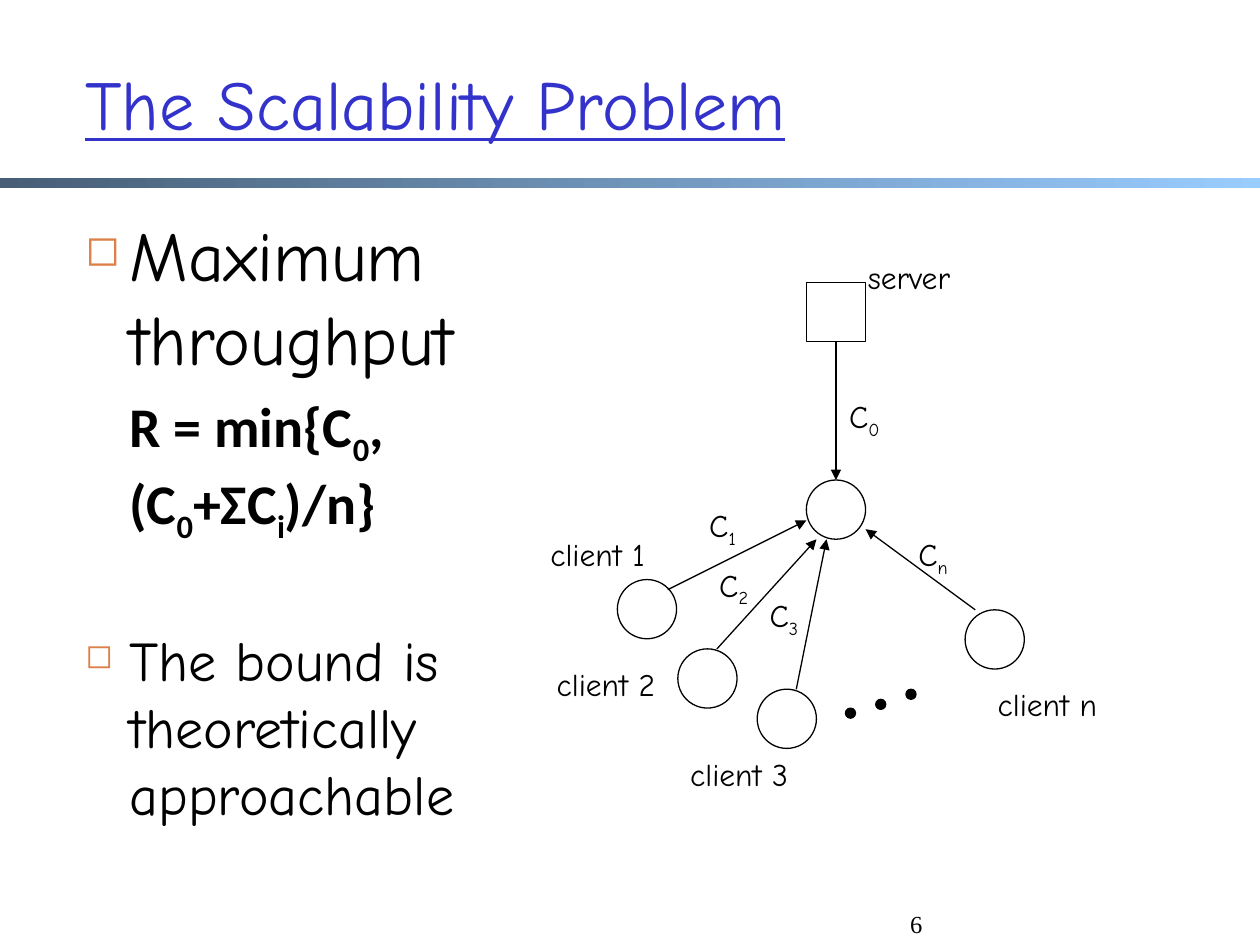
"""Build the scalability problem slide with its server and clients diagram."""
from dataclasses import dataclass
from typing import Any, NamedTuple

from lxml.etree import SubElement
from pptx import Presentation
from pptx.dml.color import RGBColor
from pptx.enum.shapes import MSO_CONNECTOR as Connector
from pptx.enum.shapes import MSO_SHAPE as Shape
from pptx.enum.text import MSO_ANCHOR as Anchor
from pptx.enum.text import PP_ALIGN as Align
from pptx.oxml.ns import qn
from pptx.util import Inches, Pt


@dataclass(frozen=True)
class Theme:
    ink: RGBColor = RGBColor(0, 0, 0)
    title: RGBColor = RGBColor(0x33, 0x33, 0xCC)
    bar_start: RGBColor = RGBColor(0x47, 0x5E, 0x76)
    bar_end: RGBColor = RGBColor(0x99, 0xCC, 0xFF)
    bullet: str = "DD8047"
    hand: str = "Comic Neue"
    formula: str = "Calibri"
    serif: str = "Times New Roman"
    large: Pt = Pt(40)
    medium: Pt = Pt(32)
    label: Pt = Pt(18)
    number: Pt = Pt(14)
    line: Pt = Pt(0.75)


class Point(NamedTuple):
    x: float
    y: float


class Label(NamedTuple):
    text: str
    left: float
    top: float
    width: float


class Line(NamedTuple):
    text: str
    format: dict[str, Any]
    space_before: float = 0
    bulleted: bool = False


class Link(NamedTuple):
    start: Point
    end: Point


THEME = Theme()
NODE = 0.47
DOT = 0.08
INDENT = 0.35
SERVER = Point(6.4, 2.24)
HUB = Point(6.4, 3.81)
CLIENTS = [Point(4.9, 4.6), Point(5.38, 5.15), Point(6.01, 5.47), Point(7.66, 4.84)]
DOTS = [Point(6.71, 5.62), Point(6.95, 5.55), Point(7.19, 5.47)]
LINKS = [
    Link(Point(5.3, 4.68), Point(6.4, 4.13)),
    Link(Point(5.69, 5.15), Point(6.48, 4.28)),
    Link(Point(6.32, 5.47), Point(6.56, 4.28)),
    Link(Point(7.74, 4.84), Point(6.87, 4.2)),
]
LABELS = [
    Label("server", 6.79, 2, 1.34),
    Label("C_0", 6.64, 3.1, 0.71),
    Label("client 1", 4.27, 4.2, 1.1),
    Label("client 2", 4.32, 5.23, 1.1),
    Label("client 3", 5.38, 5.94, 1.1),
    Label("client n", 7.82, 5.39, 1.1),
    Label("C_1", 5.53, 3.97, 0.71),
    Label("C_2", 5.61, 4.44, 0.71),
    Label("C_3", 6.01, 4.68, 0.71),
    Label("C_n", 7.19, 4.2, 0.71),
]
TITLE_FORMAT = {"name": THEME.hand, "size": THEME.large, "underline": True}
LARGE_FORMAT = {"name": THEME.hand, "size": THEME.large}
MEDIUM_FORMAT = {"name": THEME.hand, "size": THEME.medium}
FORMULA_FORMAT = {"name": THEME.formula, "size": THEME.medium, "bold": True}
LABEL_FORMAT = {"name": THEME.hand, "size": THEME.label}
NUMBER_FORMAT = {"name": THEME.serif, "size": THEME.number}
BODY = [
    Line("Maximum throughput", LARGE_FORMAT, bulleted=True),
    Line("R = min{C_0, (C_0+ΣC_i)/n}", FORMULA_FORMAT, 7),
    Line("The bound is theoretically approachable", MEDIUM_FORMAT, 46, True),
]


def add_run(paragraph, text: str, format: dict[str, Any], color: RGBColor, subscript: bool = False) -> None:
    """Add one formatted run, lowered when it is a subscript."""
    if not text:
        return
    run = paragraph.add_run()
    run.text = text
    for name, value in format.items():
        setattr(run.font, name, value)
    run.font.color.rgb = color
    if subscript:
        run._r.get_or_add_rPr().set("baseline", "-25000")


def write(paragraph, text: str, format: dict[str, Any], color: RGBColor = THEME.ink) -> None:
    """Write text in which an underscore lowers the next letter."""
    first, *parts = text.split("_")
    add_run(paragraph, first, format, color)
    for part in parts:
        add_run(paragraph, part[0], format, color, subscript=True)
        add_run(paragraph, part[1:], format, color)


def add_box(slide, left: float, top: float, width: float, height: float, anchor: Anchor = Anchor.TOP):
    """Add a wrapping text box and return its text frame."""
    frame = slide.shapes.add_textbox(Inches(left), Inches(top), Inches(width), Inches(height)).text_frame
    frame.word_wrap = True
    frame.vertical_anchor = anchor
    return frame


def set_indent(paragraph, bulleted: bool) -> None:
    """Indent a body paragraph and hang a square bullet if wanted."""
    properties = paragraph._p.get_or_add_pPr()
    properties.set("marL", str(Inches(INDENT)))
    properties.set("indent", str(-Inches(INDENT) if bulleted else 0))
    if bulleted:
        color = SubElement(properties, qn("a:buClr"))
        SubElement(color, qn("a:srgbClr"), val=THEME.bullet)
        SubElement(properties, qn("a:buSzPct"), val="60000")
        SubElement(properties, qn("a:buChar"), char="◻")


def add_body(slide) -> None:
    """Add the body text on the left."""
    frame = add_box(slide, 0.58, 1.63, 3.61, 5.08)
    for index, line in enumerate(BODY):
        paragraph = frame.add_paragraph() if index else frame.paragraphs[0]
        paragraph.space_before = Pt(line.space_before)
        set_indent(paragraph, line.bulleted)
        write(paragraph, line.text, line.format)


def add_bar(slide) -> None:
    """Add the gradient bar below the title."""
    bar = slide.shapes.add_shape(Shape.RECTANGLE, 0, Inches(1.41), Inches(10), Inches(0.08))
    bar.shadow.inherit = False
    bar.line.fill.background()
    bar.fill.gradient()
    bar.fill.gradient_angle = 0
    for stop, color, position in zip(bar.fill.gradient_stops, (THEME.bar_start, THEME.bar_end), (0, 1)):
        stop.color.rgb = color
        stop.position = position


def add_node(slide, kind: Shape, place: Point, size: float = NODE, filled: bool = False):
    """Add an outlined shape of equal width and height."""
    node = slide.shapes.add_shape(kind, Inches(place.x), Inches(place.y), Inches(size), Inches(size))
    node.shadow.inherit = False
    node.line.color.rgb = THEME.ink
    node.line.width = THEME.line
    if filled:
        node.fill.solid()
        node.fill.fore_color.rgb = THEME.ink
    else:
        node.fill.background()
    return node


def add_arrow(slide, link: Link):
    """Add a straight arrow along a link."""
    ends = [Inches(value) for point in link for value in point]
    arrow = slide.shapes.add_connector(Connector.STRAIGHT, *ends)
    arrow.line.color.rgb = THEME.ink
    arrow.line.width = THEME.line
    SubElement(arrow.line._get_or_add_ln(), qn("a:tailEnd"), type="triangle")
    SubElement(arrow._element.spPr, qn("a:effectLst"))
    return arrow


def add_diagram(slide) -> None:
    """Draw the server, the hub, the clients and their links."""
    server = add_node(slide, Shape.RECTANGLE, SERVER)
    hub = add_node(slide, Shape.OVAL, HUB)
    for client in CLIENTS:
        add_node(slide, Shape.OVAL, client)
    middle = SERVER.x + NODE / 2
    trunk = add_arrow(slide, Link(Point(middle, SERVER.y + NODE), Point(middle, HUB.y)))
    trunk.begin_connect(server, 2)
    trunk.end_connect(hub, 0)
    for link in LINKS:
        add_arrow(slide, link)
    for label in LABELS:
        frame = add_box(slide, label.left, label.top, label.width, 0.4)
        write(frame.paragraphs[0], label.text, LABEL_FORMAT)
    for dot in DOTS:
        add_node(slide, Shape.OVAL, dot, DOT, filled=True)


def main() -> None:
    """Build and save the presentation."""
    presentation = Presentation()
    presentation.slide_width, presentation.slide_height = Inches(10), Inches(7.5)
    slide = presentation.slides.add_slide(presentation.slide_layouts[6])
    add_bar(slide)
    title = add_box(slide, 0.58, 0.19, 8.5, 1.25, Anchor.MIDDLE)
    write(title.paragraphs[0], "The Scalability Problem", TITLE_FORMAT, THEME.title)
    add_body(slide)
    number = add_box(slide, 3.09, 7, 4.33, 0.5, Anchor.BOTTOM).paragraphs[0]
    number.alignment = Align.RIGHT
    write(number, "6", NUMBER_FORMAT)
    add_diagram(slide)
    presentation.save("out.pptx")


if __name__ == "__main__":
    main()
